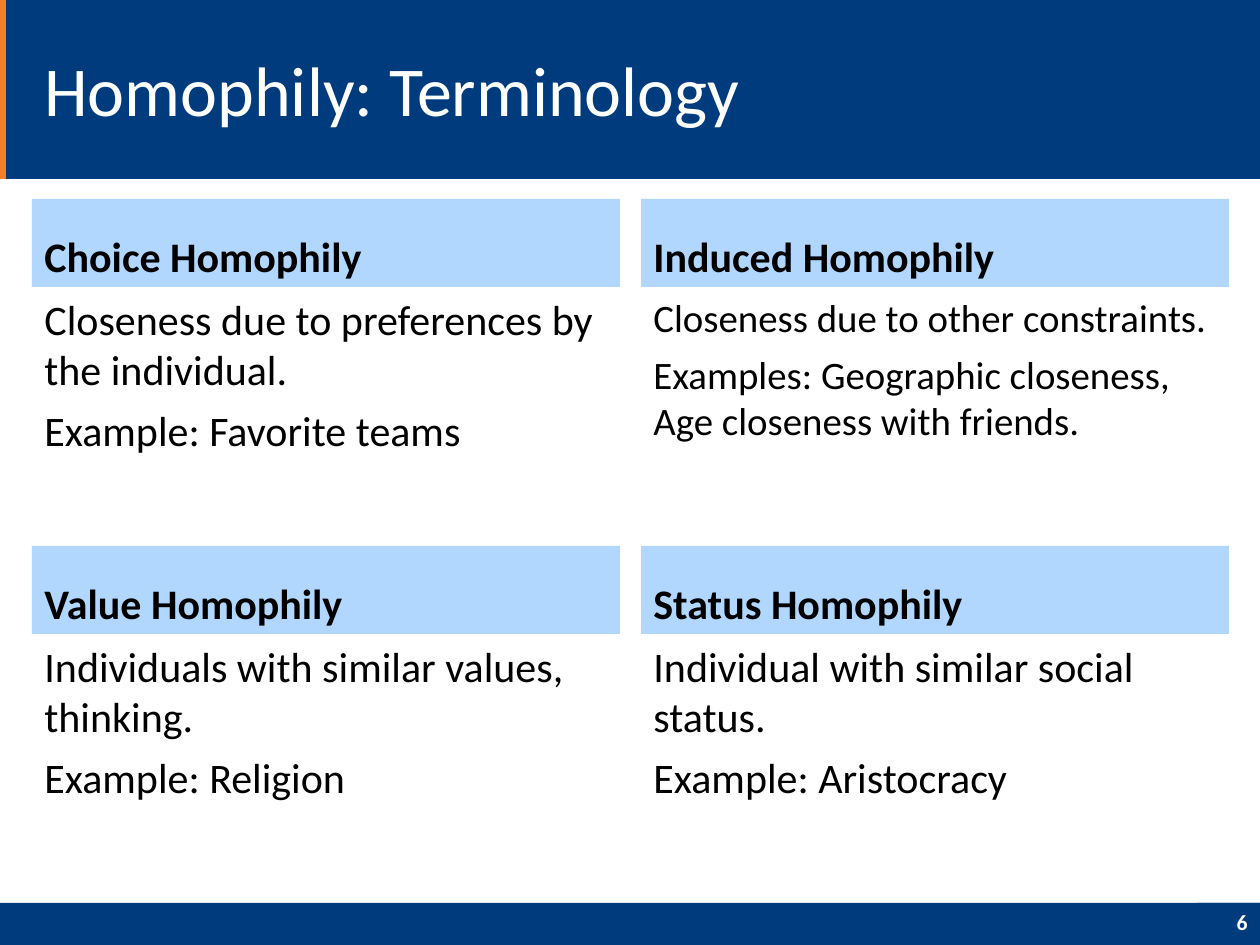
import pptx
import pptx.dml.color
import pptx.enum.shapes
import pptx.enum.text
import pptx.util

PX_PER_INCH = 126
FONT = "Calibri"
COLORS = {
    "navy": "003C7D",
    "orange": "F47F24",
    "light_blue": "B2D7FF",
    "white": "FFFFFF",
    "black": "000000",
}
ANCHOR = pptx.enum.text.MSO_ANCHOR
ALIGN = pptx.enum.text.PP_ALIGN

SLIDE_WIDTH, SLIDE_HEIGHT = 1260, 945
BANNER_HEIGHT = 179
FOOTER_TOP, FOOTER_HEIGHT = 903, 42
COLUMN_LEFT, COLUMN_PITCH, COLUMN_WIDTH = 32, 609, 588
ROW_TOP, ROW_PITCH = 199, 347
HEADING_HEIGHT, BODY_HEIGHT = 88, 248

# Each row holds (heading, body paragraphs, body size) from left to right.
TERMS = [
    [
        ("Choice Homophily",
         ["Closeness due to preferences by the individual.",
          "Example: Favorite teams"], 24),
        ("Induced Homophily",
         ["Closeness due to other constraints.",
          "Examples: Geographic closeness, Age closeness with friends."], 22.2),
    ],
    [
        ("Value Homophily",
         ["Individuals with similar values, thinking.",
          "Example: Religion"], 24),
        ("Status Homophily",
         ["Individual with similar social status.",
          "Example: Aristocracy"], 24),
    ],
]


def px(length):
    return pptx.util.Emu(round(length * 914400 / PX_PER_INCH))


def rgb(name):
    return pptx.dml.color.RGBColor.from_string(COLORS[name])


def add_rectangle(slide, left, top, width, height, color):
    shape = slide.shapes.add_shape(
        pptx.enum.shapes.MSO_SHAPE.RECTANGLE,
        px(left), px(top), px(width), px(height))
    shape.shadow.inherit = False
    shape.fill.solid()
    shape.fill.fore_color.rgb = rgb(color)
    shape.line.fill.background()
    return shape


def write_text(shape, texts, size, color="black", bold=False,
               anchor=ANCHOR.TOP, align=ALIGN.LEFT, line_spacing=None):
    """Fill a shape with one paragraph per text, 6 pt apart."""
    frame = shape.text_frame
    frame.word_wrap = True
    frame.vertical_anchor = anchor
    for index, text in enumerate(texts):
        paragraph = frame.add_paragraph() if index else frame.paragraphs[0]
        paragraph.alignment = align
        paragraph.space_before = pptx.util.Pt(6 if index else 0)
        if line_spacing:
            paragraph.line_spacing = line_spacing
        run = paragraph.add_run()
        run.text = text
        run.font.name = FONT
        run.font.size = pptx.util.Pt(size)
        run.font.bold = bold
        run.font.color.rgb = rgb(color)


def add_text(slide, left, top, width, height, texts, size, **style):
    box = slide.shapes.add_textbox(px(left), px(top), px(width), px(height))
    write_text(box, texts, size, **style)


def add_term(slide, left, top, heading, texts, size):
    """Add a shaded heading with its explanation below."""
    band = add_rectangle(slide, left, top, COLUMN_WIDTH, HEADING_HEIGHT,
                         "light_blue")
    write_text(band, [heading], 24, bold=True, anchor=ANCHOR.BOTTOM)
    add_text(slide, left, top + HEADING_HEIGHT, COLUMN_WIDTH, BODY_HEIGHT,
             texts, size)


def add_banner(slide, title):
    add_rectangle(slide, 0, 0, SLIDE_WIDTH, BANNER_HEIGHT, "navy")
    add_rectangle(slide, 0, 0, 6, BANNER_HEIGHT, "orange")
    add_text(slide, COLUMN_LEFT, 21, 924, 136, [title], 40,
             color="white", anchor=ANCHOR.MIDDLE)


def add_footer(slide, number):
    add_rectangle(slide, 0, FOOTER_TOP, SLIDE_WIDTH, FOOTER_HEIGHT, "navy")
    number_width = 63
    box = add_rectangle(slide, SLIDE_WIDTH - number_width, FOOTER_TOP,
                        number_width, FOOTER_HEIGHT, "navy")
    write_text(box, [number], 12.4, color="white", bold=True,
               anchor=ANCHOR.MIDDLE, align=ALIGN.RIGHT, line_spacing=0.8)


def main():
    presentation = pptx.Presentation()
    presentation.slide_width = px(SLIDE_WIDTH)
    presentation.slide_height = px(SLIDE_HEIGHT)
    slide = presentation.slides.add_slide(presentation.slide_layouts[6])
    add_banner(slide, "Homophily: Terminology")
    for row, terms in enumerate(TERMS):
        for column, term in enumerate(terms):
            add_term(slide, COLUMN_LEFT + column * COLUMN_PITCH,
                     ROW_TOP + row * ROW_PITCH, *term)
    add_footer(slide, "6")
    presentation.save("out.pptx")


if __name__ == "__main__":
    main()
